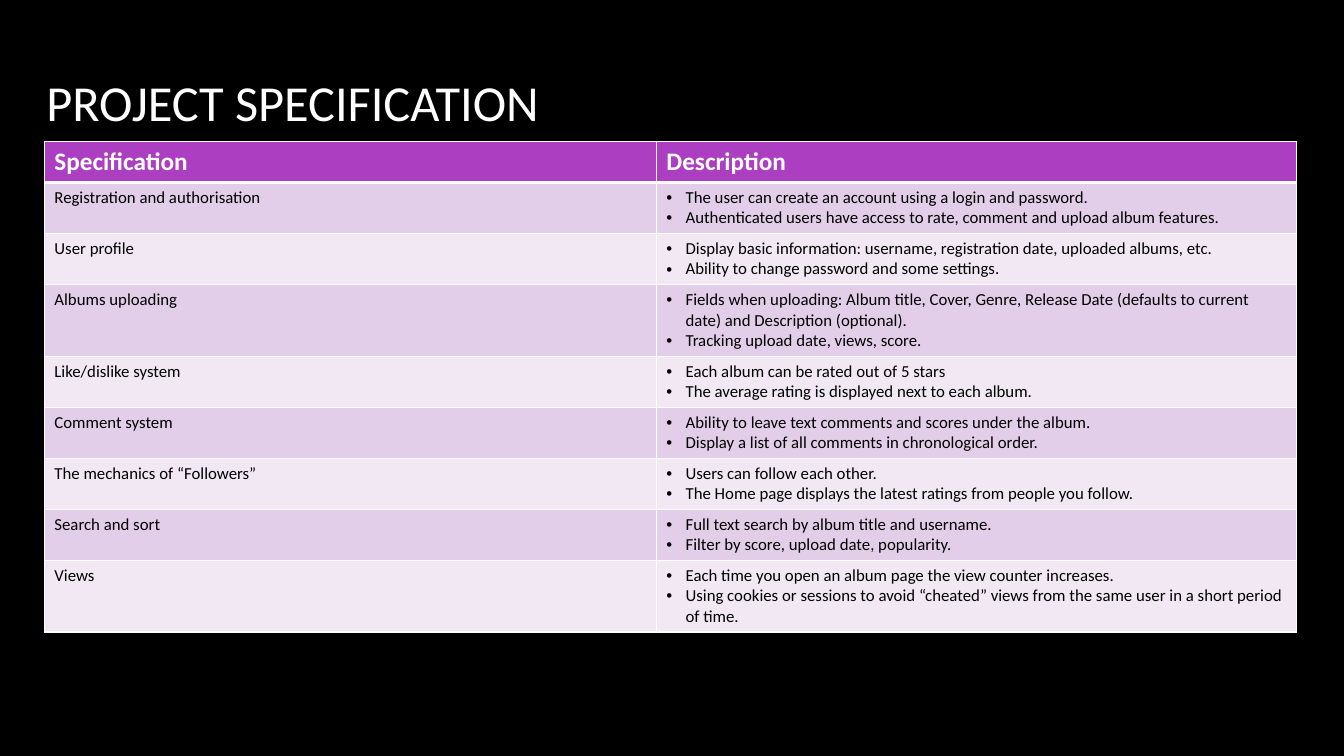
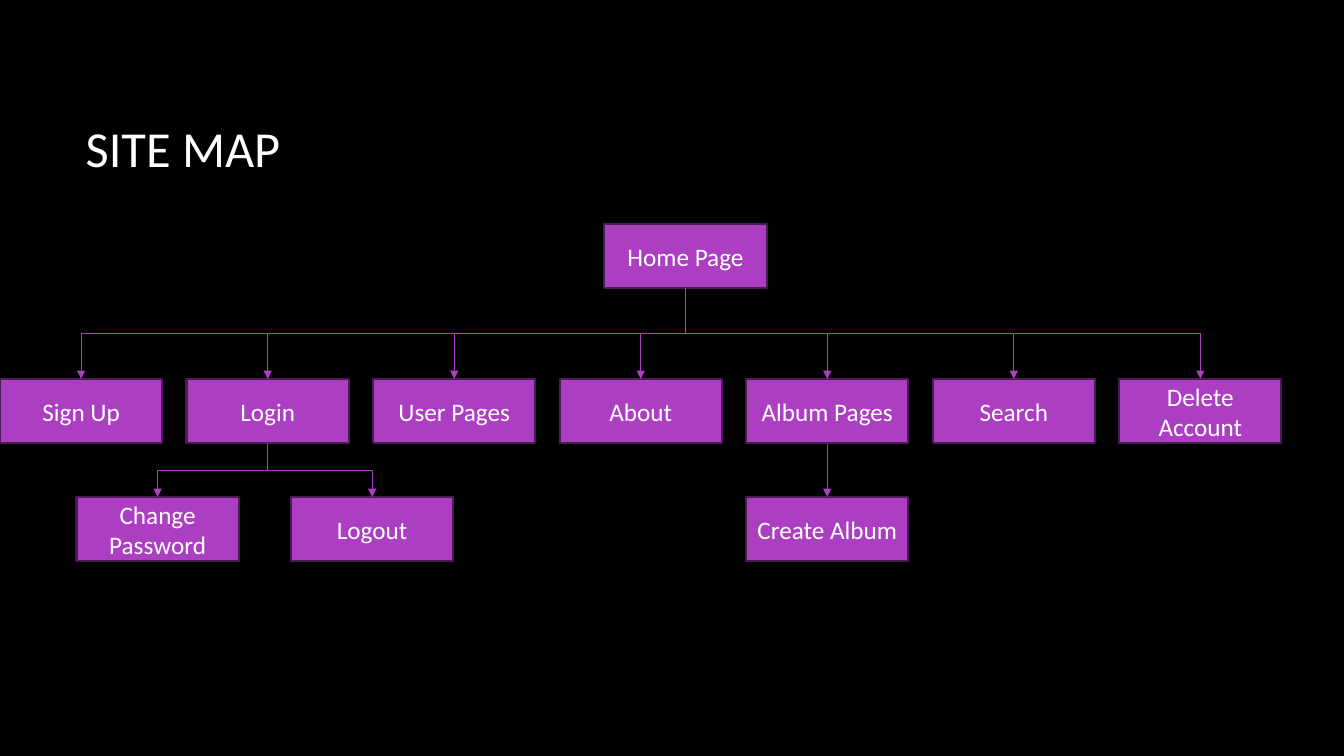
from dataclasses import dataclass

import pptx
import pptx.dml.color
import pptx.enum.shapes
import pptx.enum.text
import pptx.oxml
import pptx.oxml.ns
import pptx.util
from lxml import etree


@dataclass(frozen=True)
class Theme:
    """Colours, font and type sizes of the deck."""
    background: str = "000000"
    light: str = "FFFFFF"
    dark: str = "000000"
    accent: str = "AC3EC1"
    outline: str = "4B1B55"
    bands: tuple = ("E3CEE9", "F1E8F4")
    font: str = "Calibri"
    title_size: int = 36
    label_size: int = 18
    body_size: int = 12


THEME = Theme()
TOP, BOTTOM = 0, 2

SPECIFICATION = [
    ("Registration and authorisation", [
        "The user can create an account using a login and password.",
        "Authenticated users have access to rate, comment and upload album features."]),
    ("User profile", [
        "Display basic information: username, registration date, uploaded albums, etc.",
        "Ability to change password and some settings."]),
    ("Albums uploading", [
        "Fields when uploading: Album title, Cover, Genre, Release Date "
        "(defaults to current date) and Description (optional).",
        "Tracking upload date, views, score."]),
    ("Like/dislike system", [
        "Each album can be rated out of 5 stars",
        "The average rating is displayed next to each album."]),
    ("Comment system", [
        "Ability to leave text comments and scores under the album.",
        "Display a list of all comments in chronological order."]),
    ("The mechanics of “Followers”", [
        "Users can follow each other.",
        "The Home page displays the latest ratings from people you follow."]),
    ("Search and sort", [
        "Full text search by album title and username.",
        "Filter by score, upload date, popularity."]),
    ("Views", [
        "Each time you open an album page the view counter increases.",
        "Using cookies or sessions to avoid “cheated” views from the same user "
        "in a short period of time."]),
]

# Site map grid: column pitch, row tops and box size in inches
COLUMN_PITCH = 1.85
ROW_TOPS = (2.22, 3.76, 4.93)
BOX_SIZE = (1.61, 0.64)

# Each entry: label, column, row, parent
SITE_MAP = [
    ("Home Page", 3.24, 0, None),
    ("Sign Up", 0, 1, "Home Page"),
    ("Login", 1, 1, "Home Page"),
    ("User Pages", 2, 1, "Home Page"),
    ("About", 3, 1, "Home Page"),
    ("Album Pages", 4, 1, "Home Page"),
    ("Search", 5, 1, "Home Page"),
    ("Delete Account", 6, 1, "Home Page"),
    ("Change Password", 0.41, 2, "Login"),
    ("Logout", 1.56, 2, "Login"),
    ("Create Album", 4, 2, "Album Pages"),
]


def rgb(code):
    return pptx.dml.color.RGBColor.from_string(code)


def inches(*lengths):
    return [pptx.util.Inches(length) for length in lengths]


def add_xml(parent, tag, **attributes):
    return etree.SubElement(parent, pptx.oxml.ns.qn(tag), attributes)


def paint(target, colour):
    target.fill.solid()
    target.fill.fore_color.rgb = rgb(colour)


def write(frame, lines, size, colour, align=pptx.enum.text.PP_ALIGN.LEFT, bold=False):
    """Fill a text frame with one uniformly styled paragraph per line."""
    frame.text = "\n".join(lines)
    for para in frame.paragraphs:
        para.alignment = align
        para.font.name = THEME.font
        para.font.size = pptx.util.Pt(size)
        para.font.color.rgb = rgb(colour)
        para.font.bold = bold


def add_titled_page(deck, title, area):
    page = deck.slides.add_slide(deck.slide_layouts[5])
    box = page.shapes.title
    box.left, box.top, box.width, box.height = inches(*area)
    frame = box.text_frame
    frame.auto_size = pptx.enum.text.MSO_AUTO_SIZE.NONE
    frame.vertical_anchor = pptx.enum.text.MSO_ANCHOR.MIDDLE
    write(frame, [title], THEME.title_size, THEME.light)
    return page


def add_bullets(frame):
    indent = pptx.util.Inches(0.19)
    for para in frame.paragraphs:
        properties = para._p.get_or_add_pPr()
        properties.set("marL", str(indent))
        properties.set("indent", str(-indent))
        bullet_font = add_xml(properties, "a:buFont", typeface="Arial")
        bullet_font.addnext(add_xml(properties, "a:buChar", char="•"))


def set_borders(cell, top=1, bottom=1):
    """Draw light borders; top and bottom widths are in points."""
    properties = cell._tc.get_or_add_tcPr()
    for side, width in (("L", 1), ("R", 1), ("T", top), ("B", bottom)):
        line = add_xml(properties, f"a:ln{side}", w=str(pptx.util.Pt(width)))
        add_xml(add_xml(line, "a:solidFill"), "a:srgbClr", val=THEME.light)


def add_specification_table(page, headings, entries):
    columns, row_height = (6.07, 6.35), 0.41
    rows = len(entries) + 1
    area = inches(0.44, 1.4, sum(columns), row_height * rows)
    table = page.shapes.add_table(rows, len(columns), *area).table
    for column, width in zip(table.columns, columns):
        column.width = pptx.util.Inches(width)
    for row in table.rows:
        row.height = pptx.util.Inches(row_height)

    for cell, heading in zip(table.rows[0].cells, headings):
        write(cell.text_frame, [heading], THEME.label_size, THEME.light, bold=True)
        set_borders(cell, bottom=3)
        paint(cell, THEME.accent)

    for index, (name, details) in enumerate(entries):
        cells = table.rows[index + 1].cells
        for cell, lines in zip(cells, ([name], details)):
            write(cell.text_frame, lines, THEME.body_size, THEME.dark)
            set_borders(cell, top=3 if index == 0 else 1)
            paint(cell, THEME.bands[index % 2])
        add_bullets(cells[1].text_frame)


def add_node(page, label, column, row):
    area = inches(column * COLUMN_PITCH, ROW_TOPS[row], *BOX_SIZE)
    box = page.shapes.add_shape(pptx.enum.shapes.MSO_SHAPE.RECTANGLE, *area)
    box.shadow.inherit = False
    paint(box, THEME.accent)
    box.line.color.rgb = rgb(THEME.outline)
    box.line.width = pptx.util.Pt(1.5)
    box.text_frame.word_wrap = True
    box.text_frame.vertical_anchor = pptx.enum.text.MSO_ANCHOR.MIDDLE
    write(box.text_frame, [label], THEME.label_size, THEME.light,
          pptx.enum.text.PP_ALIGN.CENTER)
    return box


def turn_downward(connector, parent, child):
    """Rotate an elbow so that it leaves and arrives vertically."""
    start_x = parent.left + parent.width // 2
    end_x = child.left + child.width // 2
    start_y = parent.top + parent.height
    drop, span = child.top - start_y, abs(end_x - start_x)
    connector.left = (start_x + end_x - drop) // 2
    connector.top = start_y + (drop - span) // 2
    connector.width, connector.height = drop, span
    rightward = end_x > start_x
    transform = connector._element.spPr.find(pptx.oxml.ns.qn("a:xfrm"))
    transform.set("rot", str((270 if rightward else 90) * 60000))
    transform.set("flipH", "1" if rightward else "0")
    transform.set("flipV", "0")


def add_branch(page, parent, child):
    kinds = pptx.enum.shapes.MSO_CONNECTOR
    aligned = parent.left == child.left
    kind = kinds.STRAIGHT if aligned else kinds.ELBOW
    connector = page.shapes.add_connector(kind, 0, 0, 0, 0)
    connector.begin_connect(parent, BOTTOM)
    connector.end_connect(child, TOP)
    if not aligned:
        turn_downward(connector, parent, child)
    connector.line.color.rgb = rgb(THEME.accent)
    connector.line.width = pptx.util.Pt(0.75)
    add_xml(connector.line._get_or_add_ln(), "a:tailEnd", type="triangle")
    add_xml(connector._element.spPr, "a:effectLst")


def add_site_map(page, entries):
    nodes = {label: add_node(page, label, column, row)
             for label, column, row, _ in entries}
    for label, _, _, parent in entries:
        if parent:
            add_branch(page, nodes[parent], nodes[label])


def main():
    deck = pptx.Presentation()
    deck.slide_width, deck.slide_height = inches(13.33, 7.5)
    paint(deck.slide_master.background, THEME.background)

    page = add_titled_page(deck, "PROJECT SPECIFICATION", (0.36, 0.28, 11.5, 1.45))
    add_specification_table(page, ("Specification", "Description"), SPECIFICATION)

    page = add_titled_page(deck, "SITE MAP", (0.75, 0.67, 11.08, 1.59))
    add_site_map(page, SITE_MAP)

    deck.save("out.pptx")


if __name__ == "__main__":
    main()
